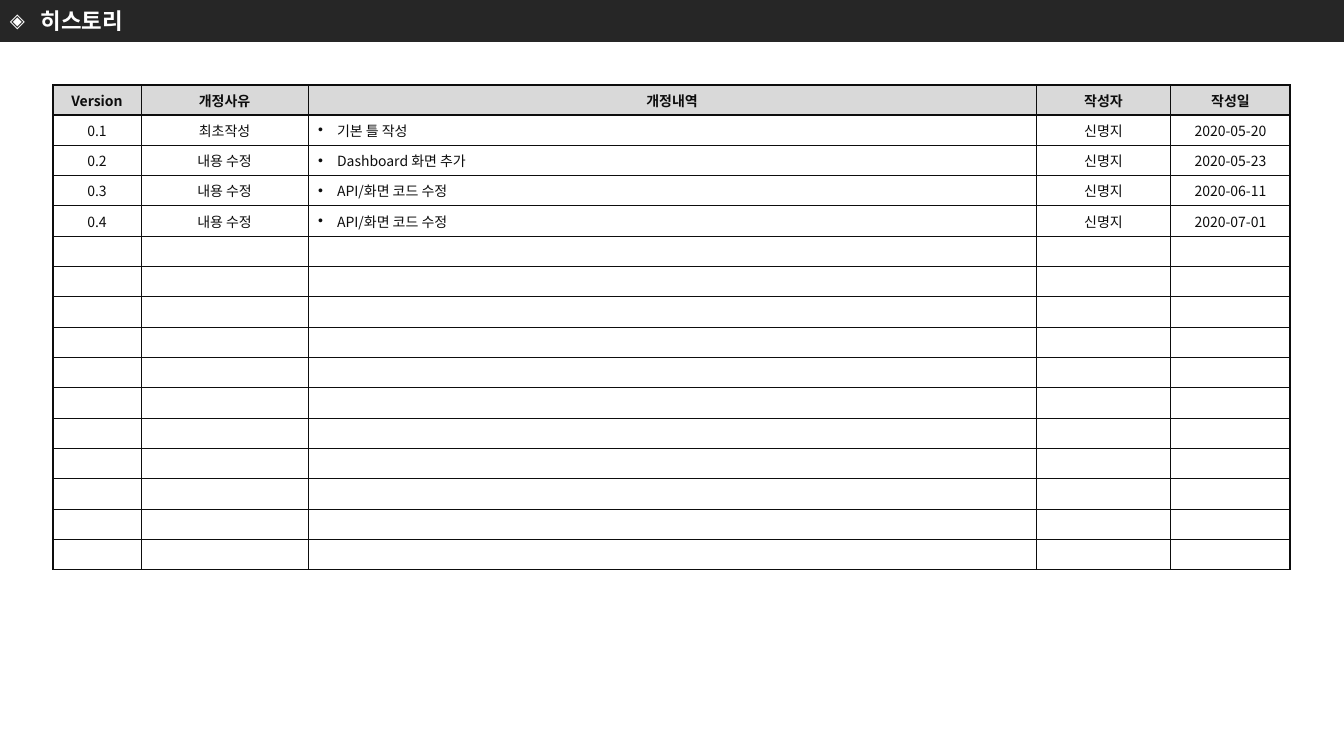
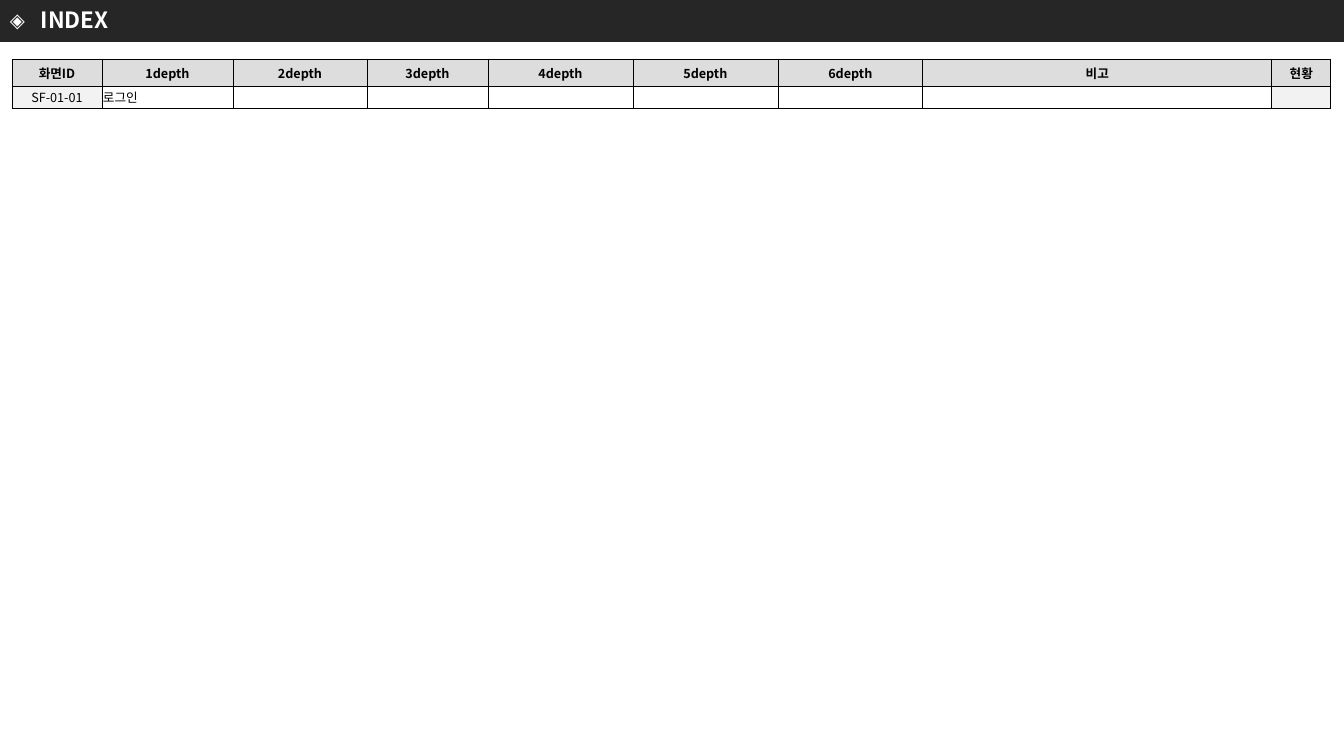
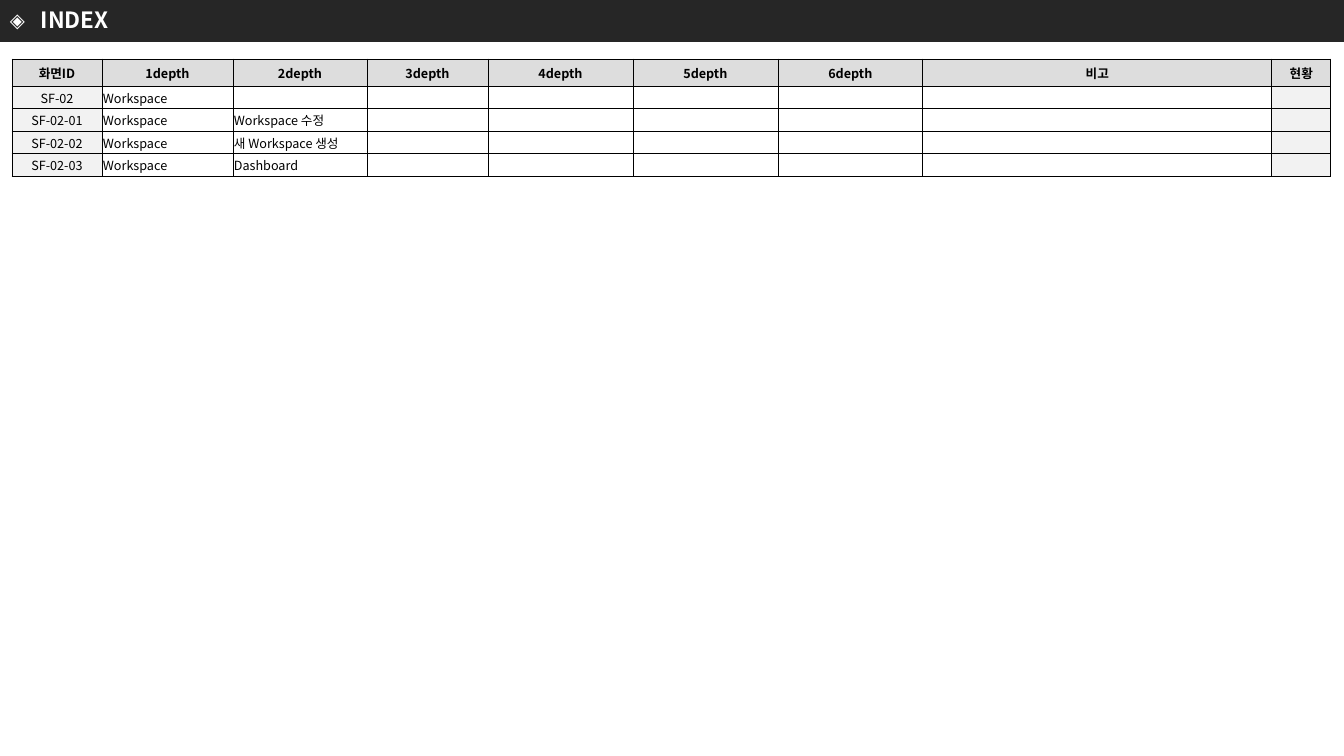
import lxml.etree
import pptx
import pptx.dml.color
import pptx.enum.shapes
import pptx.enum.text
import pptx.oxml.ns
import pptx.text.text
import pptx.util

RGBColor = pptx.dml.color.RGBColor
ALIGN = pptx.enum.text.PP_ALIGN
MIDDLE = pptx.enum.text.MSO_ANCHOR.MIDDLE

WHITE = RGBColor(0xFF, 0xFF, 0xFF)
BLACK = RGBColor(0x00, 0x00, 0x00)
BAND = RGBColor(0x26, 0x26, 0x26)
INK = RGBColor(0x0D, 0x0D, 0x0D)
HISTORY_HEADER = RGBColor(0xD9, 0xD9, 0xD9)
INDEX_HEADER = RGBColor(0xDD, 0xDD, 0xDD)
INDEX_SIDE = RGBColor(0xF2, 0xF2, 0xF2)

FONT = "Noto Sans CJK KR"
SLIDE_WIDTH, SLIDE_HEIGHT = 1344, 756
BAND_HEIGHT = 42

HISTORY_WIDTHS = [88, 167, 728, 135, 119]
HISTORY_HEADINGS = ["Version", "개정사유", "개정내역", "작성자", "작성일"]
HISTORY_ROWS = [
    ["0.1", "최초작성", "기본 틀 작성", "신명지", "2020-05-20"],
    ["0.2", "내용 수정", "Dashboard 화면 추가", "신명지", "2020-05-23"],
    ["0.3", "내용 수정", "API/화면 코드 수정", "신명지", "2020-06-11"],
    ["0.4", "내용 수정", "API/화면 코드 수정", "신명지", "2020-07-01"],
]
HISTORY_ROW_COUNT = 15
HISTORY_BULLET_COLUMN = 2

INDEX_WIDTHS = [90, 131, 134, 121, 145, 145, 145, 349, 59]
INDEX_HEADINGS = ["화면ID", *[f"{level}depth" for level in range(1, 7)], "비고", "현황"]
LOGIN_ROWS = [["SF-01-01", "로그인"]]
WORKSPACE_ROWS = [
    ["SF-02", "Workspace"],
    ["SF-02-01", "Workspace", "Workspace 수정"],
    ["SF-02-02", "Workspace", "새 Workspace 생성"],
    ["SF-02-03", "Workspace", "Dashboard"],
]


def px(length):
    return pptx.util.Emu(round(length * 914400 / 100.8))


def add_element(parent, tag, **attributes):
    element = lxml.etree.SubElement(parent, pptx.oxml.ns.qn(tag))
    for name, value in attributes.items():
        element.set(name, str(value))
    return element


def style_font(font, size, color, bold=False):
    font.size = pptx.util.Pt(size)
    font.bold = bold
    font.color.rgb = color
    font.name = FONT
    add_element(font._rPr, "a:ea", typeface=FONT)


def write(paragraph, text, size, color, bold=False):
    """Add one run; an empty text only sets the height of the line."""
    if text:
        run = paragraph.add_run()
        run.text = text
        font = run.font
    else:
        font = pptx.text.text.Font(paragraph._p.get_or_add_endParaRPr())
    style_font(font, size, color, bold)


def add_label(slide, text, left, top, width, height, size, bold=False, spacing=1.0):
    box = slide.shapes.add_textbox(px(left), px(top), px(width), px(height))
    frame = box.text_frame
    frame.word_wrap = True
    frame.vertical_anchor = MIDDLE
    paragraph = frame.paragraphs[0]
    paragraph.line_spacing = spacing
    write(paragraph, text, size, WHITE, bold)


def add_titled_slide(presentation, title, title_top):
    slide = presentation.slides.add_slide(presentation.slide_layouts[6])
    band = slide.shapes.add_shape(
        pptx.enum.shapes.MSO_SHAPE.RECTANGLE, 0, 0, px(SLIDE_WIDTH), px(BAND_HEIGHT))
    band.shadow.inherit = False
    band.fill.solid()
    band.fill.fore_color.rgb = BAND
    band.line.fill.background()
    add_label(slide, "◈", 0, 3, BAND_HEIGHT, 34, 14)
    add_label(slide, title, 31, title_top, 1118, 33, 16, bold=True, spacing=0.9)
    return slide


def set_borders(cell, color, widths):
    """Draw the left, right, top and bottom borders; widths are in points."""
    properties = cell._tc.get_or_add_tcPr()
    for side, width in zip("LRTB", widths):
        line = add_element(properties, f"a:ln{side}", w=pptx.util.Pt(width))
        fill = add_element(line, "a:solidFill")
        add_element(fill, "a:srgbClr", val=color)


def set_bullet(paragraph):
    properties = paragraph._p.get_or_add_pPr()
    indent = px(19)
    properties.set("marL", str(indent))
    properties.set("indent", str(-indent))
    add_element(properties, "a:buFont", typeface="Arial")
    add_element(properties, "a:buChar", char="•")


def set_margins(cell, left, top, right, bottom):
    cell.margin_left, cell.margin_top = px(left), px(top)
    cell.margin_right, cell.margin_bottom = px(right), px(bottom)


def add_grid(slide, left, top, height, widths, header_height, rows,
             size, color, header_fill, inner_line, outer_line):
    """Add a bordered table whose first row is the header; yield its body cells."""
    shape = slide.shapes.add_table(
        len(rows), len(widths), px(left), px(top), px(sum(widths)), px(height))
    table = shape.table
    table.first_row = table.horz_banding = False
    for column, width in zip(table.columns, widths):
        column.width = px(width)
    body_height = (height - header_height) / (len(rows) - 1)
    last_row, last_column = len(rows) - 1, len(widths) - 1
    for row_index, texts in enumerate(rows):
        is_header = row_index == 0
        table.rows[row_index].height = px(header_height if is_header else body_height)
        for column_index in range(len(widths)):
            cell = table.cell(row_index, column_index)
            at_edge = (column_index == 0, column_index == last_column,
                       row_index <= 1, row_index in (0, last_row))
            set_borders(cell, color, [outer_line if edge else inner_line for edge in at_edge])
            cell.fill.solid()
            cell.fill.fore_color.rgb = header_fill if is_header else WHITE
            cell.vertical_anchor = MIDDLE
            paragraph = cell.text_frame.paragraphs[0]
            paragraph.alignment = ALIGN.CENTER
            text = texts[column_index] if column_index < len(texts) else ""
            write(paragraph, text, size, color, bold=is_header)
    return table


def add_history_slide(presentation):
    slide = add_titled_slide(presentation, "히스토리", 6)
    empty_rows = [[]] * (HISTORY_ROW_COUNT - len(HISTORY_ROWS))
    table = add_grid(
        slide, 53, 85, 485, HISTORY_WIDTHS, 30,
        [HISTORY_HEADINGS, *HISTORY_ROWS, *empty_rows],
        size=10, color=INK, header_fill=HISTORY_HEADER, inner_line=0.75, outer_line=1)
    for row_index in range(1, len(HISTORY_ROWS) + 1):
        paragraph = table.cell(row_index, HISTORY_BULLET_COLUMN).text_frame.paragraphs[0]
        paragraph.alignment = ALIGN.LEFT
        set_bullet(paragraph)


def add_index_slide(presentation, rows, height):
    slide = add_titled_slide(presentation, "INDEX", 5)
    table = add_grid(
        slide, 12, 59, height, INDEX_WIDTHS, 27, [INDEX_HEADINGS, *rows],
        size=9, color=BLACK, header_fill=INDEX_HEADER, inner_line=0.5, outer_line=0.5)
    for cell in table.iter_cells():
        set_margins(cell, 1, 1, 1, 0)
    last_column = len(INDEX_WIDTHS) - 1
    for row_index in range(1, len(rows) + 1):
        for column_index in (0, last_column):
            table.cell(row_index, column_index).fill.fore_color.rgb = INDEX_SIDE
        for column_index in range(1, last_column):
            paragraph = table.cell(row_index, column_index).text_frame.paragraphs[0]
            paragraph.alignment = ALIGN.LEFT


def main():
    presentation = pptx.Presentation()
    presentation.slide_width = px(SLIDE_WIDTH)
    presentation.slide_height = px(SLIDE_HEIGHT)
    add_history_slide(presentation)
    add_index_slide(presentation, LOGIN_ROWS, 49)
    add_index_slide(presentation, WORKSPACE_ROWS, 117)
    presentation.save("out.pptx")


if __name__ == "__main__":
    main()
